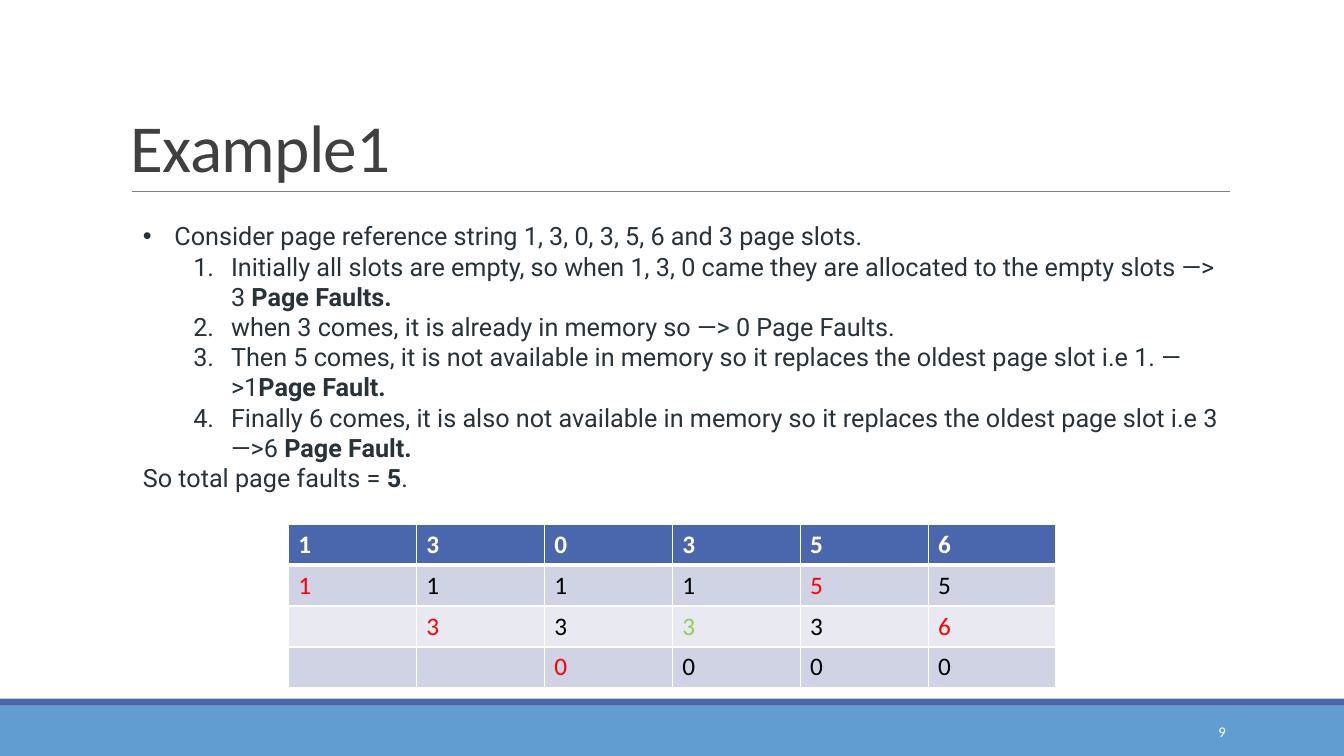
from lxml import etree
from pptx import Presentation
from pptx import util as u
from pptx.dml import color
from pptx.enum import shapes, text
from pptx.oxml import ns

Pt = u.Pt
BLUE, SKY, WHITE, BLACK = "4A66AC", "629DD1", "FFFFFF", "000000"
RED, GREEN, INK = "FF0000", "92D050", "273239"
BANDS = (BLUE, "D0D3E3", "E9EAF1", "D0D3E3")

BODY = [
    ("bullet", [("Consider page reference string 1, 3, 0, 3, 5, 6 and 3 page slots.", False)]),
    ("number", [("Initially all slots are empty, so when 1, 3, 0 came they are allocated to the empty slots —> 3 ", False),
                ("Page Faults. ", True)]),
    ("number", [("when 3 comes, it is already in memory so —> 0 Page Faults.", False)]),
    ("number", [("Then 5 comes, it is not available in memory so it replaces the oldest page slot i.e 1. —>1", False),
                ("Page Fault. ", True)]),
    ("number", [("Finally 6 comes, it is also not available in memory so it replaces the oldest page slot i.e 3 —>6 ", False),
                ("Page Fault. ", True)]),
    ("plain", [("So total page faults = ", False), ("5", True), (". ", False)]),
]
SLOTS = ["130356", "111155", " 33336", "  0000"]
MARKS = {(1, 0): RED, (1, 4): RED, (2, 1): RED, (2, 3): GREEN, (2, 5): RED, (3, 2): RED}


def rgb(value):
    return color.RGBColor.from_string(value)


def add_run(p, words, size, hue, font="Calibri", bold=False):
    r = p.add_run()
    r.text = words
    r.font.size = Pt(size)
    r.font.name = font
    r.font.bold = bold
    r.font.color.rgb = rgb(hue)
    return r


def add_bar(s, top, height, hue):
    sp = s.shapes.add_shape(shapes.MSO_SHAPE.RECTANGLE, 0, Pt(top), Pt(960), Pt(height))
    sp.shadow.inherit = False
    sp.fill.solid()
    sp.fill.fore_color.rgb = rgb(hue)
    sp.line.fill.background()


def add_rule(s, left, right, y):
    sp = s.shapes.add_connector(shapes.MSO_CONNECTOR.STRAIGHT, Pt(left), Pt(y), Pt(right), Pt(y))
    sp.line.color.rgb = rgb("808080")
    sp.line.width = Pt(0.5)
    etree.SubElement(sp._element.spPr, ns.qn("a:effectLst"))


def add_box(s, left, top, width, height, anchor):
    tf = s.shapes.add_textbox(Pt(left), Pt(top), Pt(width), Pt(height)).text_frame
    tf.word_wrap = True
    tf.vertical_anchor = anchor
    return tf


def add_marker(p, kind):
    if kind == "plain":
        return
    pPr = p._p.get_or_add_pPr()
    left, hang = (22.5, 22.5) if kind == "bullet" else (63, 27)
    pPr.set("marL", str(Pt(left)))
    pPr.set("indent", str(-Pt(hang)))
    if kind == "bullet":
        etree.SubElement(pPr, ns.qn("a:buFont"), typeface="Arial")
        etree.SubElement(pPr, ns.qn("a:buChar"), char="•")
    else:
        pPr.set("lvl", "1")
        etree.SubElement(pPr, ns.qn("a:buFont"), typeface="+mj-lt")
        etree.SubElement(pPr, ns.qn("a:buAutoNum"), type="arabicPeriod")


def add_title(s, words):
    p = add_box(s, 86.4, 22.3, 792, 114.5, text.MSO_ANCHOR.BOTTOM).paragraphs[0]
    p.line_spacing = 0.85
    r = add_run(p, words, 48, "404040")
    r.font._element.set("spc", "-50")


def add_body(s, items):
    tf = add_box(s, 95, 154, 783.5, 204, text.MSO_ANCHOR.TOP)
    for i, (kind, runs) in enumerate(items):
        p = tf.add_paragraph() if i else tf.paragraphs[0]
        add_marker(p, kind)
        for words, bold in runs:
            add_run(p, words, 18, INK, "Roboto", bold)


def add_page_number(s, number):
    p = add_box(s, 780, 508.5, 102.6, 28.8, text.MSO_ANCHOR.MIDDLE).paragraphs[0]
    p.alignment = text.PP_ALIGN.RIGHT
    add_run(p, number, 10.5, WHITE)


def set_borders(cell, row):
    tcPr = cell._tc.get_or_add_tcPr()
    widths = {"lnL": 1, "lnR": 1, "lnT": 3 if row == 1 else 1, "lnB": 3 if row == 0 else 1}
    for i, (side, width) in enumerate(widths.items()):
        ln = etree.Element(ns.qn("a:" + side), w=str(Pt(width)))
        fill = etree.SubElement(ln, ns.qn("a:solidFill"))
        etree.SubElement(fill, ns.qn("a:srgbClr"), val=WHITE)
        tcPr.insert(i, ln)


def add_slots(s, rows, marks):
    table = s.shapes.add_table(len(rows), len(rows[0]), Pt(206), Pt(374.5), Pt(548.4), Pt(116.8)).table
    for column in table.columns:
        column.width = Pt(91.4)
    for i, values in enumerate(rows):
        table.rows[i].height = Pt(29.2)
        for j, value in enumerate(values):
            cell = table.cell(i, j)
            cell.fill.solid()
            cell.fill.fore_color.rgb = rgb(BANDS[i])
            set_borders(cell, i)
            if value != " ":
                hue = WHITE if i == 0 else marks.get((i, j), BLACK)
                add_run(cell.text_frame.paragraphs[0], value, 18, hue, bold=i == 0)


def main():
    prs = Presentation()
    prs.slide_width, prs.slide_height = Pt(960), Pt(540)
    s = prs.slides.add_slide(prs.slide_layouts[6])
    add_bar(s, 504, 36, SKY)
    add_bar(s, 499, 5, BLUE)
    add_rule(s, 94.2, 878.8, 136.6)
    add_title(s, "Example1")
    add_page_number(s, "9")
    add_body(s, BODY)
    add_slots(s, SLOTS, MARKS)
    prs.save("out.pptx")


if __name__ == "__main__":
    main()
